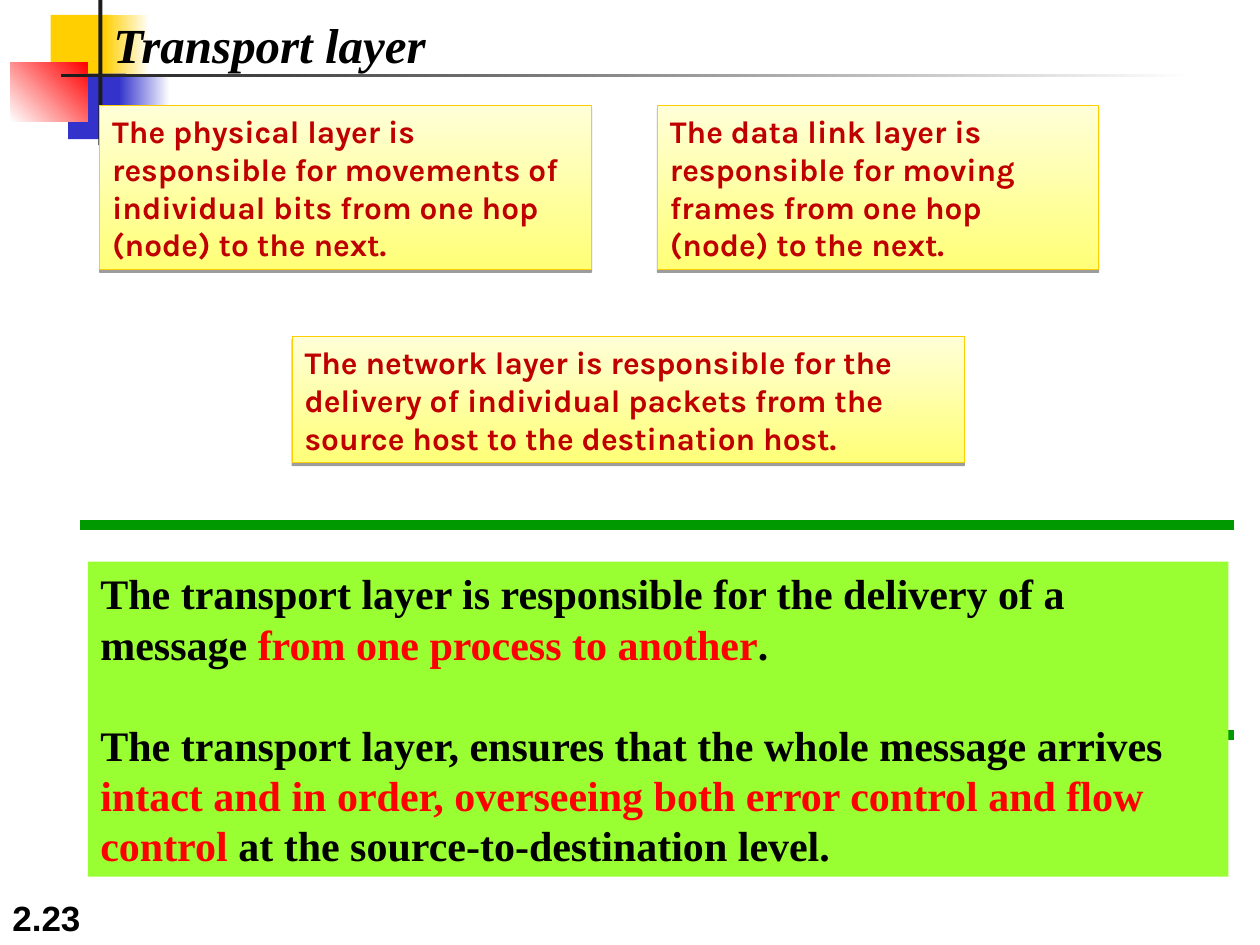
from lxml.etree import SubElement
from pptx import Presentation
from pptx.dml.color import RGBColor
from pptx.enum.shapes import MSO_CONNECTOR, MSO_SHAPE
from pptx.enum.text import MSO_ANCHOR as ANCHOR, PP_ALIGN
from pptx.oxml.ns import qn
from pptx.util import Pt

COLORS = {
    "white": "FFFFFF", "black": "000000", "ink": "1C1C1C", "red": "FF0000",
    "gold": "FFCF01", "blue": "3333CC", "rule": "009900", "lime": "99FF33",
    "note_low": "FFFF78", "note_high": "FFFFD7", "note_line": "FFCE00",
    "note_text": "C00000",
}
SERIF = "Times New Roman"


def rgb(name):
    return RGBColor.from_string(COLORS[name])


def add_rect(slide, box, fill, angle=0):
    """Borderless rectangle; a (start, end) fill is a gradient along angle."""
    s = slide.shapes.add_shape(MSO_SHAPE.RECTANGLE, *map(Pt, box))
    s.shadow.inherit = False
    s.line.fill.background()
    if isinstance(fill, tuple):
        s.fill.gradient()
        s.fill.gradient_angle = angle
        for stop, name in zip(s.fill.gradient_stops, fill):
            stop.color.rgb = rgb(name)
    else:
        s.fill.solid()
        s.fill.fore_color.rgb = rgb(fill)
    return s


def style(p, size, font, color=None, italic=None):
    p.alignment = PP_ALIGN.LEFT
    p.font.size, p.font.name = Pt(size), font
    p.font.bold, p.font.italic = True, italic
    if color:
        p.font.color.rgb = rgb(color)


def add_label(slide, box, text, size, font, anchor=ANCHOR.TOP, wrap=True, italic=None):
    tf = slide.shapes.add_textbox(*map(Pt, box)).text_frame
    tf.word_wrap, tf.vertical_anchor = wrap, anchor
    p = tf.paragraphs[0]
    p.text = text
    style(p, size, font, "black", italic)


def add_ornament(slide, x, y):
    """Overlapping squares crossed by a vertical bar and a fading rule."""
    parts = [
        ((23, 8.5, 34.5, 37.5), "gold", 0),
        ((53.5, 8.5, 26, 37.5), ("white", "gold"), 180),
        ((33, 42, 33, 37.5), "blue", 0),
        ((62, 42, 29, 37.5), ("white", "blue"), 180),
        ((0, 36, 44, 33.5), ("white", "red"), 45),
        ((50.25, 0, 2.25, 83), "ink", 0),
        ((29, 42, 648, 2.25), ("white", "ink"), 180),
    ]
    for (dx, dy, w, h), fill, angle in parts:
        add_rect(slide, (x + dx, y + dy, w, h), fill, angle)


def add_rule(slide, x1, x2, y):
    c = slide.shapes.add_connector(MSO_CONNECTOR.STRAIGHT, Pt(x1), Pt(y), Pt(x2), Pt(y))
    c.line.color.rgb = rgb("rule")
    c.line.width = Pt(6)
    SubElement(c._element.spPr, qn("a:effectLst"))


def add_summary(slide, box, paragraphs):
    """Lime panel; each paragraph is a list of (text, color) runs."""
    tf = add_rect(slide, box, "lime").text_frame
    tf.word_wrap, tf.vertical_anchor = True, ANCHOR.TOP
    for i, runs in enumerate(paragraphs):
        p = tf.add_paragraph() if i else tf.paragraphs[0]
        style(p, 24, SERIF)
        if i:
            p.space_before = Pt(28.8)
        for text, color in runs:
            r = p.add_run()
            r.text = text
            r.font.color.rgb = rgb(color)


def add_note(slide, box, text):
    s = add_rect(slide, box, ("note_low", "note_high"), 90)
    s.line.color.rgb = rgb("note_line")
    s.line.width = Pt(0.75)
    effects = s._element.spPr.find(qn("a:effectLst"))
    shadow = SubElement(effects, qn("a:outerShdw"), blurRad="0",
                        dist=str(Pt(1.6)), dir="5400000", rotWithShape="0")
    color = SubElement(shadow, qn("a:srgbClr"), val=COLORS["black"])
    SubElement(color, qn("a:alpha"), val="38000")
    tf = s.text_frame
    tf.word_wrap, tf.vertical_anchor = True, ANCHOR.TOP
    p = tf.paragraphs[0]
    p.text = text
    style(p, 18, "Karla", "note_text")


def main():
    prs = Presentation()
    prs.slide_width, prs.slide_height = Pt(720), Pt(540)
    slide = prs.slides.add_slide(prs.slide_layouts[6])

    add_label(slide, (0, 504, 150, 36), "2.23", 20, "Arial", ANCHOR.BOTTOM)
    add_ornament(slide, 6, 0)
    add_rule(slide, 46, 705, 300)
    add_rule(slide, 63, 705, 420)
    add_summary(slide, (50.25, 321, 651.75, 180), [
        [("The transport layer is responsible for the delivery of a message ", "black"),
         ("from one process to another", "red"), (".", "black")],
        [("The transport layer, ensures that the whole message arrives ", "black"),
         ("intact and in order, overseeing both error control and flow control", "red"),
         (" at the source-to-destination level.", "black")],
    ])
    add_label(slide, (57.75, 4.5, 193.5, 41), "Transport layer", 28, SERIF,
              wrap=False, italic=True)
    add_note(slide, (167, 192.5, 384, 72),
             "The network layer is responsible for the delivery of individual "
             "packets from the source host to the destination host.")
    add_note(slide, (375.75, 60.5, 252, 93.5),
             "The data link layer is responsible for moving frames from one hop "
             "(node) to the next.")
    add_note(slide, (57, 60.5, 281, 93.5),
             "The physical layer is responsible for movements of individual bits "
             "from one hop (node) to the next.")
    prs.save("out.pptx")


if __name__ == "__main__":
    main()
